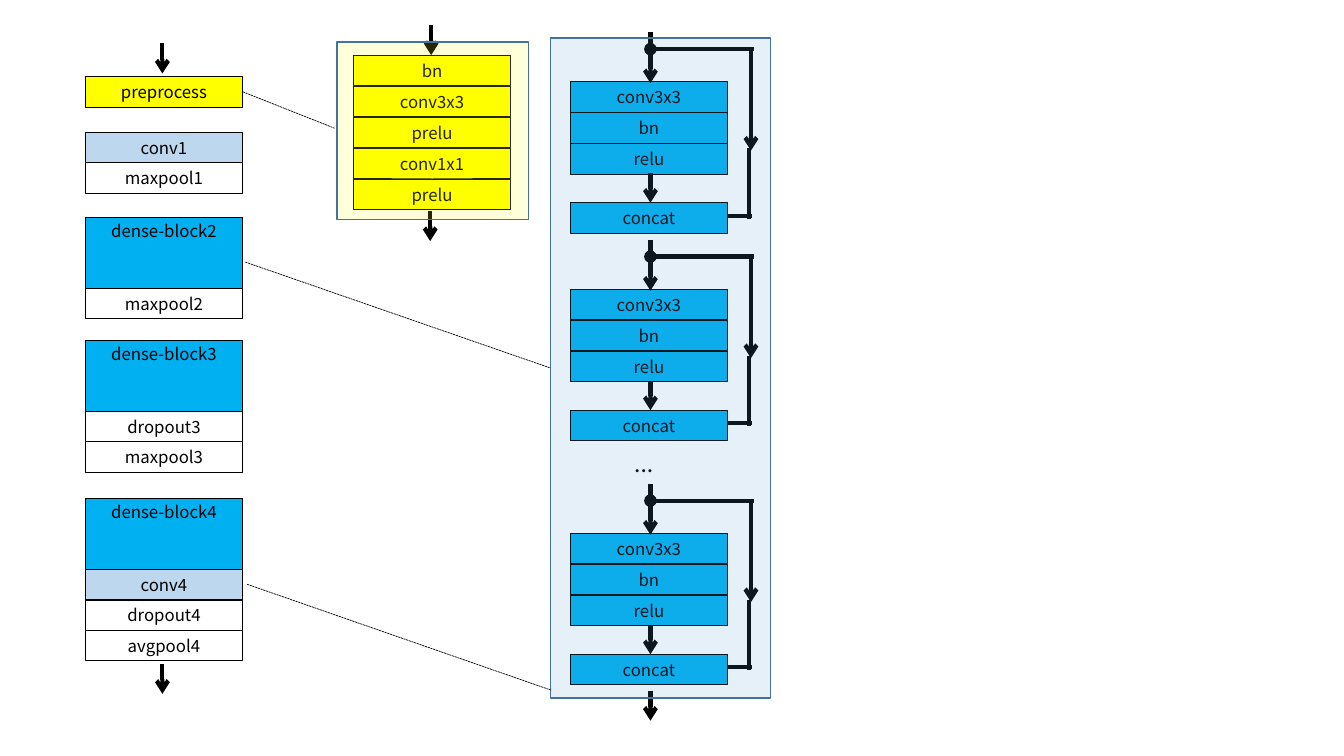
from lxml.etree import SubElement
from pptx import Presentation
from pptx.dml.color import RGBColor
from pptx.enum.dml import MSO_LINE
from pptx.enum.shapes import MSO_CONNECTOR, MSO_SHAPE
from pptx.enum.text import MSO_ANCHOR, PP_ALIGN
from pptx.oxml.ns import qn
from pptx.util import Pt

# Content
YELLOW, PALE, BLUE, BLACK = "FFFF00", "BDD7EE", "00B0F0", "000000"
FONT = "Noto Sans CJK SC"
STAGES = [  # top, then (label, fill) rows
    (54.7, [("preprocess", YELLOW)]),
    (94.3, [("conv1", PALE), ("maxpool1", None)]),
    (155.5, [("dense-block2", BLUE), ("maxpool2", None)]),
    (243.4, [("dense-block3", BLUE), ("dropout3", None), ("maxpool3", None)]),
    (356.4, [("dense-block4", BLUE), ("conv4", PALE), ("dropout4", None), ("avgpool4", None)]),
]
PREPROCESS_LAYERS = ["bn", "conv3x3", "prelu", "conv1x1", "prelu"]
DENSE_LAYERS = ["conv3x3", "bn", "relu"]
DENSE_TOPS = [58.4, 206.6, 380.9]
CALLOUTS = [  # dashed links from stage to detail panel
    (173.5, 65.6, 239, 91.6),
    (175.2, 187.2, 393, 262.8),
    (176.4, 417.3, 393.7, 493),
]

# Layout, in points
BOX_WIDTH, BOX_HEIGHT, DENSE_HEIGHT = 112.3, 21.9, 50.4
STAGE_LEFT, PREPROCESS_LEFT, DENSE_LEFT = 61, 252.5, 407.4
STAGE_PITCH, DETAIL_PITCH = 21.7, 22.15
STAGE_AXIS, DENSE_AXIS = 116, 464.6

presentation = Presentation()
presentation.slide_width, presentation.slide_height = Pt(960), Pt(540)
slide = presentation.slides.add_slide(presentation.slide_layouts[6])


def paint(color_format, color):
    color_format.rgb = RGBColor.from_string(color)


def write(frame, text, size, font, align):
    paragraph = frame.paragraphs[0]
    paragraph.alignment = align
    run = paragraph.add_run()
    run.text = text
    run.font.size, run.font.name = Pt(size), font
    paint(run.font.color, BLACK)
    east_asian = SubElement(run.font._element, qn("a:ea"))
    east_asian.set("typeface", font)


def add_rectangle(left, top, width, height, fill, line, weight):
    shape = slide.shapes.add_shape(MSO_SHAPE.RECTANGLE, Pt(left), Pt(top), Pt(width), Pt(height))
    shape.shadow.inherit = False
    if fill:
        shape.fill.solid()
        paint(shape.fill.fore_color, fill)
    else:
        shape.fill.background()
    paint(shape.line.color, line)
    shape.line.width = Pt(weight)
    return shape


def add_box(left, top, text, fill, height=BOX_HEIGHT):
    shape = add_rectangle(left, top, BOX_WIDTH, height, fill, BLACK, 0.75)
    frame = shape.text_frame
    frame.word_wrap = True
    frame.margin_top = frame.margin_bottom = Pt(2.3)
    frame.vertical_anchor = MSO_ANCHOR.TOP if height > BOX_HEIGHT else MSO_ANCHOR.MIDDLE
    write(frame, text, 12, FONT, PP_ALIGN.CENTER)


def add_panel(left, top, width, height, fill):
    shape = add_rectangle(left, top, width, height, fill, "43739E", 1)
    color = shape.fill._xPr.find(qn("a:solidFill"))[0]
    SubElement(color, qn("a:alpha")).set("val", "15000")


def add_line(x1, y1, x2, y2, weight=3, head=None, tail=None):
    line = slide.shapes.add_connector(MSO_CONNECTOR.STRAIGHT, Pt(x1), Pt(y1), Pt(x2), Pt(y2))
    paint(line.line.color, BLACK)
    line.line.width = Pt(weight)
    outline = line.line._get_or_add_ln()
    for tag, kind in (("a:headEnd", head), ("a:tailEnd", tail)):
        if kind:
            SubElement(outline, qn(tag)).set("type", kind)
    SubElement(line._element.spPr, qn("a:effectLst"))
    return line


def add_down_arrow(x, top, bottom):
    add_line(x, top, x, bottom, tail="arrow")


# Network stages
for top, rows in STAGES:
    for label, fill in rows:
        dense = label.startswith("dense")
        add_box(STAGE_LEFT, top, label, fill, DENSE_HEIGHT if dense else BOX_HEIGHT)
        top += DENSE_HEIGHT if dense else STAGE_PITCH
add_down_arrow(STAGE_AXIS, 31, 52.5)
add_down_arrow(STAGE_AXIS, 474.4, 495.6)

# Preprocess detail
for index, label in enumerate(PREPROCESS_LAYERS):
    add_box(PREPROCESS_LEFT, 39.5 + index * DETAIL_PITCH, label, YELLOW)
add_down_arrow(308, 18, 39.4)
add_down_arrow(307.3, 151, 172.2)
add_panel(240.7, 30, 136.8, 127, YELLOW)

# Dense block detail: layers with a skip line into concat
for top in DENSE_TOPS:
    for index, label in enumerate(DENSE_LAYERS):
        add_box(DENSE_LEFT, top + index * DETAIL_PITCH, label, BLUE)
    add_box(DENSE_LEFT, top + 86.4, "concat", BLUE)
    add_down_arrow(DENSE_AXIS, top - 35.3, top + 1)
    add_down_arrow(DENSE_AXIS, top + 65.4, top + 86.4)
    add_line(DENSE_AXIS, top - 23.3, 538.6, top - 23.3, head="oval")
    add_down_arrow(536.4, top - 22.3, top + 49.2)
    add_line(519.4, top + 95.7, 537.2, top + 95.7)
    add_line(535, top + 47.5, 535, top + 97.8)

ellipsis_box = slide.shapes.add_textbox(Pt(445.9), Pt(316.1), Pt(92.9), Pt(29.5))
ellipsis_box.text_frame.word_wrap = True
write(ellipsis_box.text_frame, "...", 18, "Calibri", PP_ALIGN.LEFT)
add_down_arrow(DENSE_AXIS, 493.5, 514.8)
add_panel(393.1, 27.2, 157.2, 471.4, "5B9BD5")

# Callout links
for ends in CALLOUTS:
    add_line(*ends, weight=0.5).line.dash_style = MSO_LINE.SQUARE_DOT

presentation.save("out.pptx")
